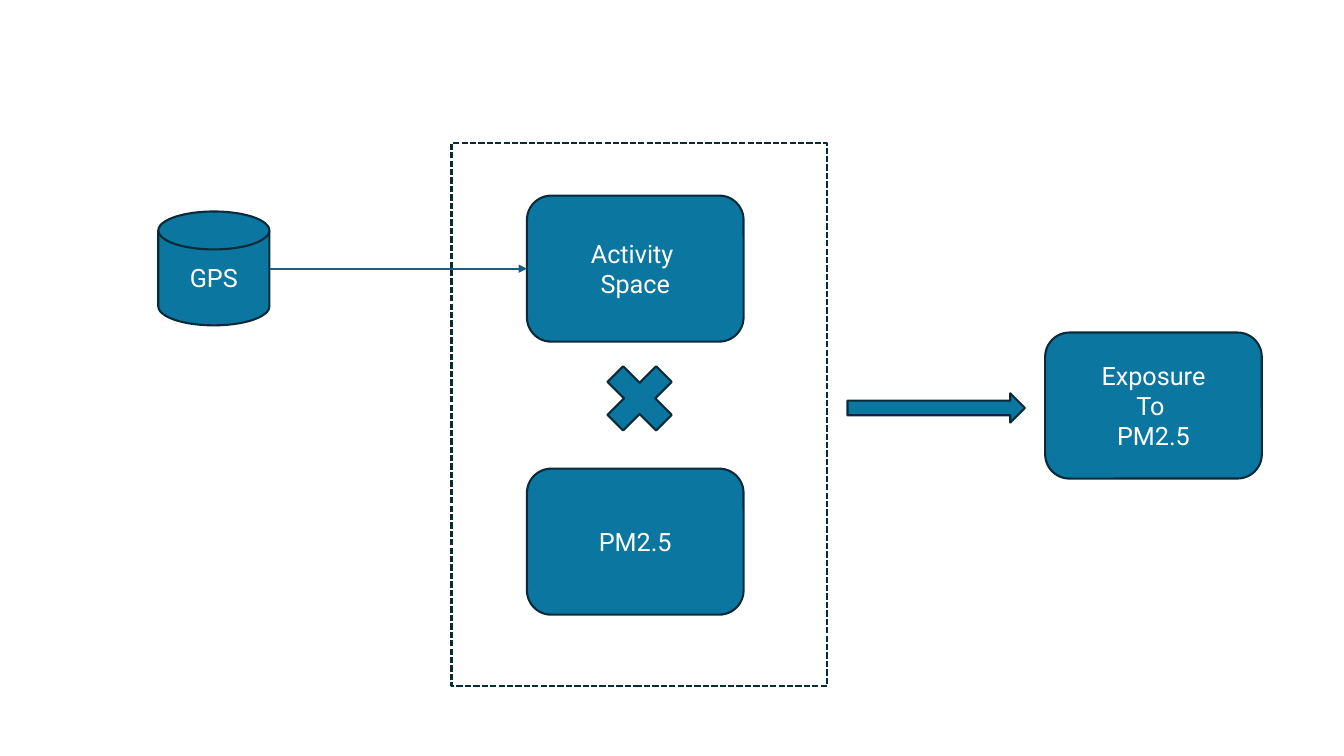
"""Builds a flow slide from GPS data and PM2.5 to exposure."""
import pptx
import pptx.dml.color
import pptx.enum.dml
import pptx.enum.shapes
import pptx.enum.text
import pptx.oxml
import pptx.oxml.ns
import pptx.util

Cm = pptx.util.Cm
Pt = pptx.util.Pt
SHAPES = pptx.enum.shapes.MSO_SHAPE


def color(value):
    """Turn a hex string into a colour."""
    return pptx.dml.color.RGBColor.from_string(value)


def add_node(kind, left, top, width, height, lines=()):
    """Add a filled, outlined shape with one centred paragraph per line."""
    node = slide.shapes.add_shape(kind, Cm(left), Cm(top), Cm(width), Cm(height))
    node.shadow.inherit = False
    node.fill.solid()
    node.fill.fore_color.rgb = color("0B76A0")
    node.line.color.rgb = color("092A39")
    node.line.width = Pt(1.5)
    frame = node.text_frame
    frame.vertical_anchor = pptx.enum.text.MSO_ANCHOR.MIDDLE
    for index, line in enumerate(lines):
        paragraph = frame.add_paragraph() if index else frame.paragraphs[0]
        paragraph.text = line
        paragraph.alignment = pptx.enum.text.PP_ALIGN.CENTER
        paragraph.font.name = "Roboto"
        paragraph.font.size = Pt(18)
        paragraph.font.color.rgb = color("FFFFFF")
    return node


deck = pptx.Presentation()
deck.slide_width = Cm(33.87)
deck.slide_height = Cm(19.05)
slide = deck.slides.add_slide(deck.slide_layouts[6])

box_width, box_height = 5.46, 3.68
box_left, activity_top = 13.28, 4.93

activity_space = add_node(SHAPES.ROUNDED_RECTANGLE, box_left, activity_top,
                          box_width, box_height, ["Activity ", "Space"])
add_node(SHAPES.ROUNDED_RECTANGLE, 26.34, 8.38, box_width, box_height,
         ["Exposure", "To ", "PM2.5"])
add_node(SHAPES.FLOWCHART_MAGNETIC_DISK, 3.99, 5.33, 2.8, 2.87, ["GPS"])

gps_y = activity_top + box_height / 2
gps_link = slide.shapes.add_connector(
    pptx.enum.shapes.MSO_CONNECTOR.STRAIGHT,
    Cm(6.8), Cm(gps_y), Cm(box_left), Cm(gps_y))
gps_link.end_connect(activity_space, 1)
gps_link.line.color.rgb = color("156082")
gps_link.line.width = Pt(1.5)
namespace = pptx.oxml.ns.nsdecls("a")
gps_link.line._get_or_add_ln().append(
    pptx.oxml.parse_xml(f'<a:tailEnd {namespace} type="triangle"/>'))
gps_link._element.spPr.append(pptx.oxml.parse_xml(f"<a:effectLst {namespace}/>"))

add_node(SHAPES.ROUNDED_RECTANGLE, box_left, 11.81, box_width, box_height, ["PM2.5"])
add_node(SHAPES.MATH_MULTIPLY, 14.94, 8.86, 2.36, 2.36)

combination = add_node(SHAPES.RECTANGLE, 11.38, 3.61, 9.47, 13.67)
combination.fill.background()
combination.line.dash_style = pptx.enum.dml.MSO_LINE.SQUARE_DOT

add_node(SHAPES.RIGHT_ARROW, 21.36, 9.91, 4.47, 0.74)

deck.save("out.pptx")
